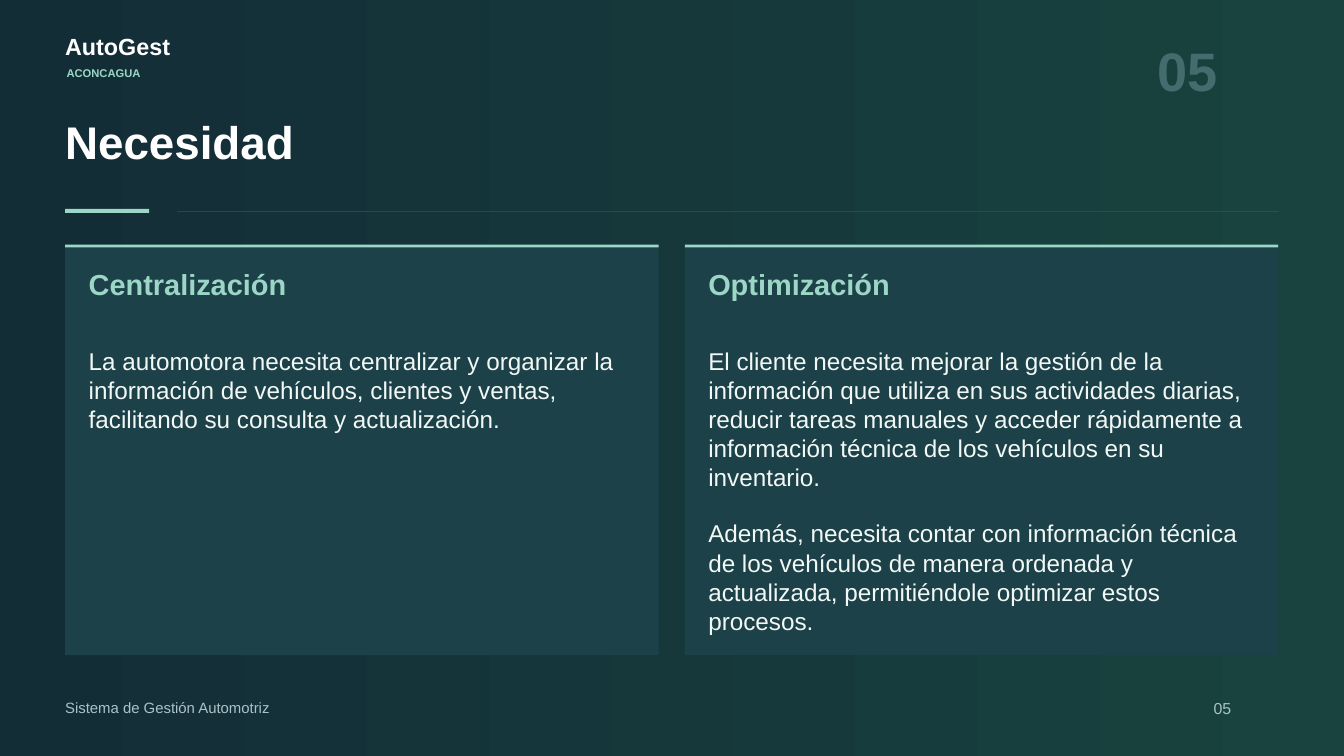
from dataclasses import dataclass

import pptx
import pptx.dml.color
import pptx.enum.shapes
import pptx.enum.text
import pptx.slide
import pptx.util
from pptx.util import Inches

COLORS: dict[str, str] = {
    "night": "132D37",
    "forest": "18433F",
    "mint": "9CD6C6",
    "panel": "1D4148",
    "rule": "34545D",
    "ghost": "436C6E",
    "muted": "ABC2C6",
    "body": "F2F8F6",
    "white": "FFFFFF",
}
FONT = "Arial"
LINE_RATIO = 1.2
MARGIN = 0.97
CONTENT_WIDTH = 18.06
CARD_TOP = 3.64
CARD_WIDTH = 8.83
CARD_HEIGHT = 6.11
CARD_STEP = 9.22
CARD_PADDING = 0.35


@dataclass(frozen=True)
class Card:
    heading: str
    paragraphs: tuple[str, ...]


CARDS = (
    Card(
        "Centralización",
        (
            "La automotora necesita centralizar y organizar la información de "
            "vehículos, clientes y ventas, facilitando su consulta y actualización.",
        ),
    ),
    Card(
        "Optimización",
        (
            "El cliente necesita mejorar la gestión de la información que utiliza "
            "en sus actividades diarias, reducir tareas manuales y acceder "
            "rápidamente a información técnica de los vehículos en su inventario.",
            "Además, necesita contar con información técnica de los vehículos de "
            "manera ordenada y actualizada, permitiéndole optimizar estos procesos.",
        ),
    ),
)


def rgb(color: str) -> pptx.dml.color.RGBColor:
    return pptx.dml.color.RGBColor.from_string(COLORS[color])


def paint_background(slide: pptx.slide.Slide) -> None:
    fill = slide.background.fill
    fill.gradient()
    fill.gradient_angle = 0
    for stop, color, position in zip(fill.gradient_stops, ("night", "forest"), (0, 1)):
        stop.color.rgb = rgb(color)
        stop.position = position


def add_text(
    slide: pptx.slide.Slide,
    *paragraphs: str,
    left: float,
    top: float,
    width: float,
    height: float,
    size: float,
    color: str,
    bold: bool = False,
    gap: float = 0,
) -> None:
    frame = slide.shapes.add_textbox(
        Inches(left), Inches(top), Inches(width), Inches(height)
    ).text_frame
    frame.word_wrap = True
    frame.vertical_anchor = pptx.enum.text.MSO_ANCHOR.TOP
    frame.margin_left = frame.margin_right = 0
    frame.margin_top = frame.margin_bottom = 0
    for index, words in enumerate(paragraphs):
        paragraph = frame.paragraphs[0] if index == 0 else frame.add_paragraph()
        paragraph.line_spacing = pptx.util.Pt(size * LINE_RATIO)
        if index:
            paragraph.space_before = pptx.util.Pt(gap)
        run = paragraph.add_run()
        run.text = words
        run.font.name = FONT
        run.font.size = pptx.util.Pt(size)
        run.font.bold = bold
        run.font.color.rgb = rgb(color)


def add_block(
    slide: pptx.slide.Slide,
    left: float,
    top: float,
    width: float,
    height: float,
    color: str,
) -> None:
    block = slide.shapes.add_shape(
        pptx.enum.shapes.MSO_SHAPE.RECTANGLE,
        Inches(left), Inches(top), Inches(width), Inches(height),
    )
    block.shadow.inherit = False
    block.fill.solid()
    block.fill.fore_color.rgb = rgb(color)
    block.line.fill.background()


def add_card(slide: pptx.slide.Slide, card: Card, left: float) -> None:
    add_block(slide, left, CARD_TOP, CARD_WIDTH, CARD_HEIGHT, "panel")
    add_block(slide, left, CARD_TOP, CARD_WIDTH, 0.04, "mint")
    text_left = left + CARD_PADDING
    text_width = CARD_WIDTH - 2 * CARD_PADDING
    add_text(slide, card.heading, left=text_left, top=3.97, width=text_width,
             height=1.06, size=31, color="mint", bold=True)
    add_text(slide, *card.paragraphs, left=text_left, top=5.15, width=text_width,
             height=4.88, size=26, color="body", gap=28.8)


def main() -> None:
    presentation = pptx.Presentation()
    presentation.slide_width = Inches(20)
    presentation.slide_height = Inches(11.25)
    slide = presentation.slides.add_slide(presentation.slide_layouts[6])
    paint_background(slide)

    add_text(slide, "AutoGest", left=MARGIN, top=0.48, width=3.33, height=0.48,
             size=25, color="white", bold=True)
    add_text(slide, "ACONCAGUA", left=0.99, top=0.98, width=3.47, height=0.33,
             size=12, color="mint", bold=True)
    add_text(slide, "05", left=17.22, top=0.55, width=1.81, height=1.05,
             size=58, color="ghost", bold=True)
    add_text(slide, "Necesidad", left=MARGIN, top=1.69, width=CONTENT_WIDTH,
             height=1.41, size=49, color="white", bold=True)

    add_block(slide, MARGIN, 3.11, 1.25, 0.06, "mint")
    add_block(slide, 2.64, 3.14, 16.39, 0.01, "rule")

    add_text(slide, "05", left=18.06, top=10.4, width=0.97, height=0.41,
             size=17, color="muted")
    add_text(slide, "Sistema de Gestión Automotriz", left=MARGIN, top=10.4,
             width=8.33, height=0.41, size=16, color="muted")

    for index, card in enumerate(CARDS):
        add_card(slide, card, MARGIN + index * CARD_STEP)

    presentation.save("out.pptx")


if __name__ == "__main__":
    main()
